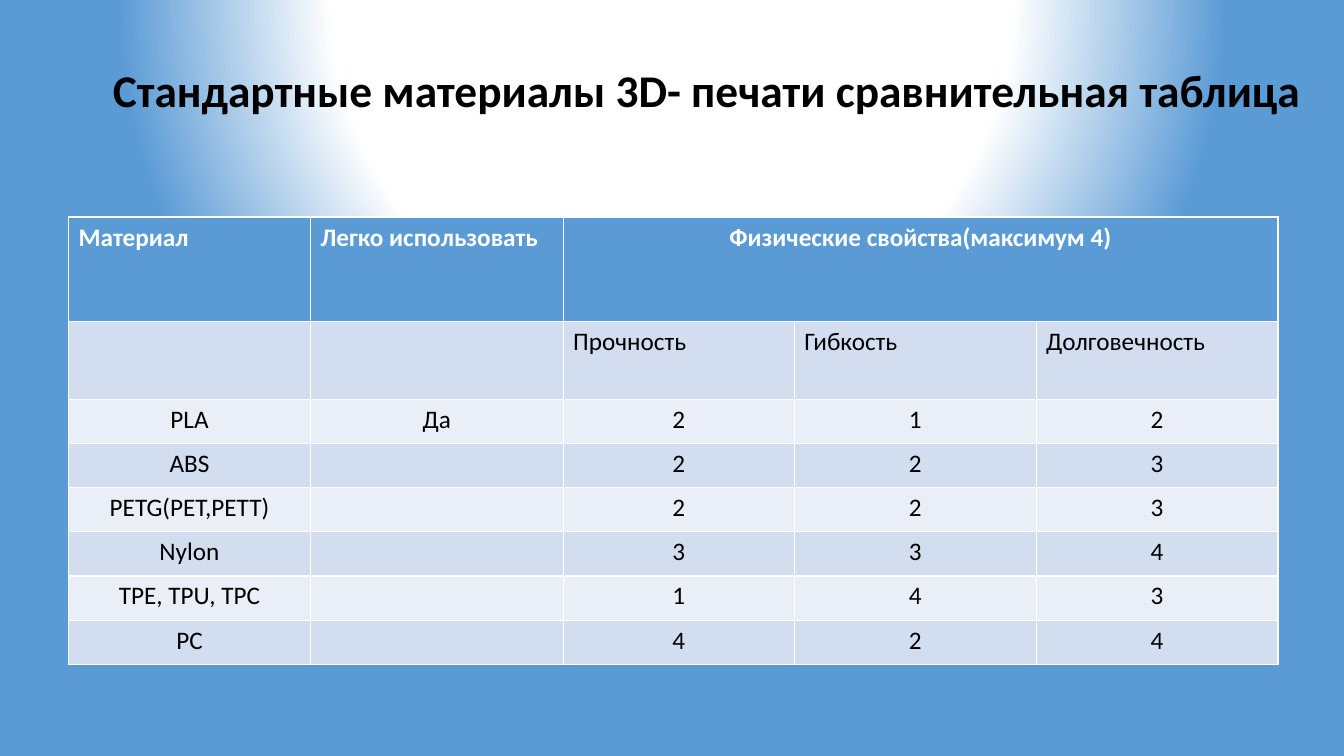
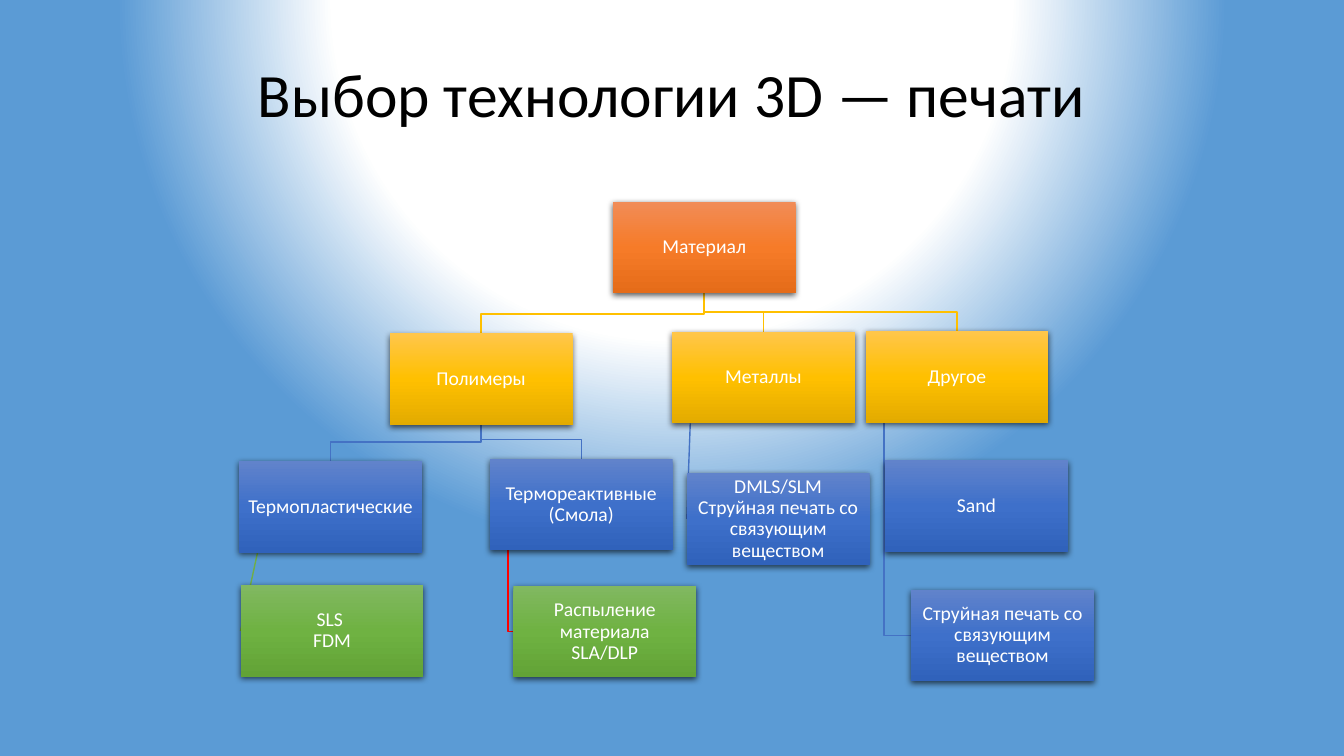
from pptx import Presentation
from pptx import util as u
from pptx.dml.color import RGBColor
from pptx.enum import shapes, text
from pptx.oxml import parse_xml
from pptx.oxml.ns import nsdecls

FONT = "Calibri"
BLACK, WHITE, SKY = "000000", "FFFFFF", "5B9BD5"
BANDS = ["D2DEEF", "EAEFF7"]
LEFT, CENTER = text.PP_ALIGN.LEFT, text.PP_ALIGN.CENTER
TOP, MIDDLE = text.MSO_ANCHOR.TOP, text.MSO_ANCHOR.MIDDLE


def color(value):
    return RGBColor.from_string(value)


def write(frame, words, size=18, ink=BLACK, bold=False, align=CENTER, spacing=1.0):
    frame.text = words
    for para in frame.paragraphs:
        para.alignment = align
        para.line_spacing = spacing
        for span in para.runs:
            span.font.name = FONT
            span.font.size = u.Pt(size)
            span.font.bold = bold
            span.font.color.rgb = color(ink)


# Deck: a grid of 100 columns by 100 rows
deck = Presentation()
deck.slide_width, deck.slide_height = u.Inches(13.33), u.Inches(7.5)
COL, ROW = deck.slide_width / 100, deck.slide_height / 100

# Shared background: a white glow on blue, set on the master
stops = "".join(
    f'<a:gs pos="{share}000"><a:srgbClr val="{tint}"/></a:gs>'
    for share, tint in [(28, WHITE), (44, WHITE), (72, SKY)])
canvas = deck.slide_master.element.cSld
for old in canvas.xpath("p:bg"):
    canvas.remove(old)
canvas.insert(0, parse_xml(
    f'<p:bg {nsdecls("p", "a")}><p:bgPr><a:gradFill rotWithShape="1">'
    f'<a:gsLst>{stops}</a:gsLst><a:path path="circle">'
    '<a:fillToRect l="50000" t="-80000" r="50000" b="180000"/></a:path>'
    '</a:gradFill><a:effectLst/></p:bgPr></p:bg>'))

# Pages and titles: words, size, bold, left, top, width, anchor, top margin
TITLES = [
    ("Стандартные материалы 3D- печати сравнительная таблица",
     32.4, True, 6.8, 7.2, 91.6, TOP, 0.14),
    ("Выбор технологии 3D — печати", 44, False, 6.9, 3.3, 86.2, MIDDLE, 0.05),
]
pages = []
for words, size, bold, left, top, width, anchor, margin in TITLES:
    page = deck.slides.add_slide(deck.slide_layouts[5])
    title = page.shapes.title
    title.left, title.top = int(left * COL), int(top * ROW)
    title.width, title.height = int(width * COL), int(19.3 * ROW)
    frame = title.text_frame
    frame.auto_size = text.MSO_AUTO_SIZE.NONE
    frame.vertical_anchor = anchor
    frame.margin_top = u.Inches(margin)
    write(frame, words, size=size, bold=bold, spacing=0.9)
    pages.append(page)
table_page, tree_page = pages

# Table of materials
CELLS = [
    ["Материал", "Легко использовать", "Физические свойства(максимум 4)", "", ""],
    ["", "", "Прочность", "Гибкость", "Долговечность"],
    ["PLA", "Да", "2", "1", "2"],
    ["ABS", "", "2", "2", "3"],
    ["PETG(PET,PETT)", "", "2", "2", "3"],
    ["Nylon", "", "3", "3", "4"],
    ["TPE, TPU, TPC", "", "1", "4", "3"],
    ["PC", "", "4", "2", "4"],
]
WIDTHS = [18, 18.8, 17.2, 18, 18]
HEIGHTS = [13.8, 10.3] + [5.85] * 6
table = table_page.shapes.add_table(
    len(HEIGHTS), len(WIDTHS), int(5.1 * COL), int(28.7 * ROW),
    int(sum(WIDTHS) * COL), int(sum(HEIGHTS) * ROW)).table
for column, width in zip(table.columns, WIDTHS):
    column.width = int(width * COL)
for line, height in zip(table.rows, HEIGHTS):
    line.height = int(height * ROW)
table.cell(0, 2).merge(table.cell(0, 4))
for r, row in enumerate(CELLS):
    header = r == 0
    for c, words in enumerate(row):
        cell = table.cell(r, c)
        cell.fill.solid()
        cell.fill.fore_color.rgb = color(SKY if header else BANDS[(r - 1) % 2])
        centred = r > 1 or (header and c == 2)
        if words:
            write(cell.text_frame, words, ink=WHITE if header else BLACK,
                  bold=header, align=CENTER if centred else LEFT)

# Tree boxes: name -> words, gradient, left, top
ORANGE = ["F18C57", "F67B28", "E56C19"]
GOLD = ["FFC64B", "FFC000", "E3AB00"]
BLUE = ["6183CB", "3E70CA", "3062BB"]
GREEN = ["81B861", "6FB242", "62A336"]
NODES = {
    "material": ("Материал", ORANGE, 45.6, 26.7),
    "polymers": ("Полимеры", GOLD, 29, 44.1),
    "thermoplastic": ("Термопластические", BLUE, 17.8, 61),
    "fused": ("SLS \nFDM", GREEN, 17.9, 77.4),
    "thermoset": ("Термореактивные\n(Смола)", BLUE, 36.45, 60.7),
    "jetting": ("Распыление материала\nSLA/DLP", GREEN, 38.2, 77.5),
    "metals": ("Металлы", GOLD, 50, 43.9),
    "laser": ("DMLS/SLM\nСтруйная печать со связующим веществом", BLUE, 51.1, 62.6),
    "other": ("Другое", GOLD, 64.4, 43.8),
    "sand": ("Sand", BLUE, 65.85, 60.9),
    "binder": ("Струйная печать со связующим веществом", BLUE, 67.8, 78),
}
boxes = {}
for name, (words, tints, left, top) in NODES.items():
    box = tree_page.shapes.add_shape(
        shapes.MSO_SHAPE.RECTANGLE, int(left * COL), int(top * ROW),
        int(13.6 * COL), int(12.1 * ROW))
    box.line.fill.background()
    outline = box.line._get_or_add_ln()
    stops = "".join(f'<a:gs pos="{i * 50000}"><a:srgbClr val="{tint}"/></a:gs>'
                    for i, tint in enumerate(tints))
    outline.addprevious(parse_xml(
        f'<a:gradFill {nsdecls("a")} rotWithShape="1"><a:gsLst>{stops}</a:gsLst>'
        '<a:lin ang="5400000" scaled="0"/></a:gradFill>'))
    outline.addnext(parse_xml(
        f'<a:effectLst {nsdecls("a")}><a:outerShdw blurRad="57150" dist="19050" '
        'dir="5400000" algn="ctr" rotWithShape="0"><a:srgbClr val="000000">'
        '<a:alpha val="63000"/></a:srgbClr></a:outerShdw></a:effectLst>'))
    frame = box.text_frame
    frame.word_wrap = True
    frame.vertical_anchor = MIDDLE
    frame.margin_left = frame.margin_right = u.Inches(0.01)
    frame.margin_top = frame.margin_bottom = u.Inches(0.01)
    write(frame, words, size=14, ink=WHITE, spacing=0.9)
    boxes[name] = box

# Tree links: "fork" runs to the child's top, "hang" and "slant" to its left side
AMBER, NAVY, LEAF, RED = "FFC000", "4472C4", "70AD47", "FF0000"
LINKS = [
    ("material", "polymers", "fork", AMBER),
    ("polymers", "thermoplastic", "fork", NAVY),
    ("thermoplastic", "fused", "slant", LEAF),
    ("polymers", "thermoset", "fork", NAVY),
    ("thermoset", "jetting", "hang", RED),
    ("material", "metals", "fork", AMBER),
    ("metals", "laser", "slant", NAVY),
    ("material", "other", "fork", AMBER),
    ("other", "sand", "hang", NAVY),
    ("other", "binder", "hang", NAVY),
]
tree = tree_page.shapes.element if hasattr(tree_page.shapes, "element") else tree_page.shapes._spTree
behind = tree.index(boxes["material"].element)
for parent_name, child_name, kind, ink in LINKS:
    parent, child = boxes[parent_name], boxes[child_name]
    bottom = parent.top + parent.height
    side = parent.left + parent.width // 10
    middle = child.top + child.height // 2
    if kind == "slant":
        link = tree_page.shapes.add_connector(
            shapes.MSO_CONNECTOR.STRAIGHT, side, bottom, child.left, middle)
        link.end_connect(child, 1)
        link.element.spPr.append(parse_xml(f'<a:effectLst {nsdecls("a")}/>'))
    else:
        if kind == "fork":
            start = parent.left + parent.width // 2
            end = child.left + child.width // 2
            bend = child.top - int(2.53 * ROW)
            points = [(start, bend), (end, bend), (end, child.top)]
        else:
            start = side
            points = [(side, middle), (child.left, middle)]
        pen = tree_page.shapes.build_freeform(start, bottom)
        pen.add_line_segments(points, close=False)
        link = pen.convert_to_shape()
        link.fill.background()
        link.shadow.inherit = False
    link.line.color.rgb = color(ink)
    link.line.width = u.Pt(1)
    tree.insert(behind, link.element)

deck.save("out.pptx")
